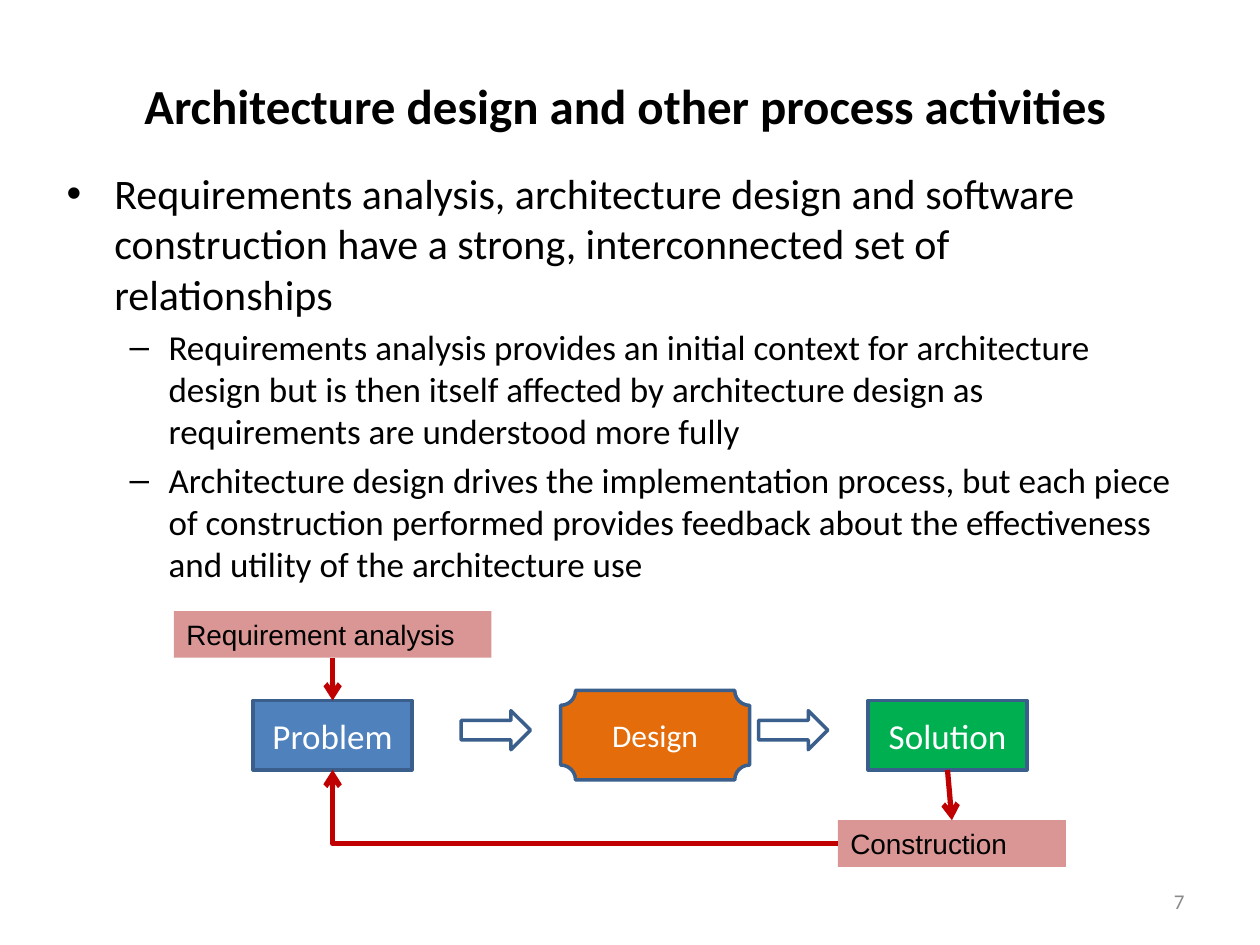
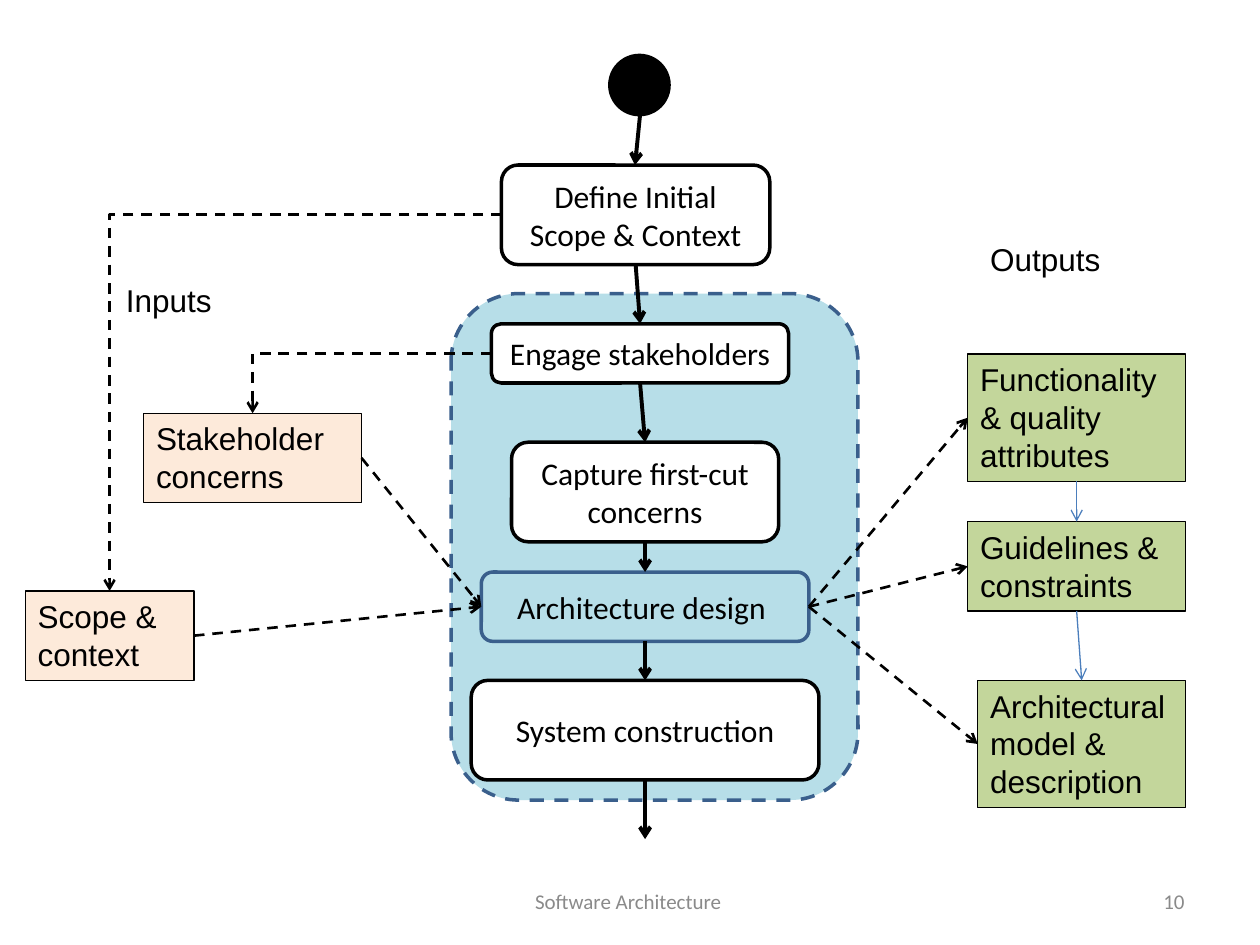
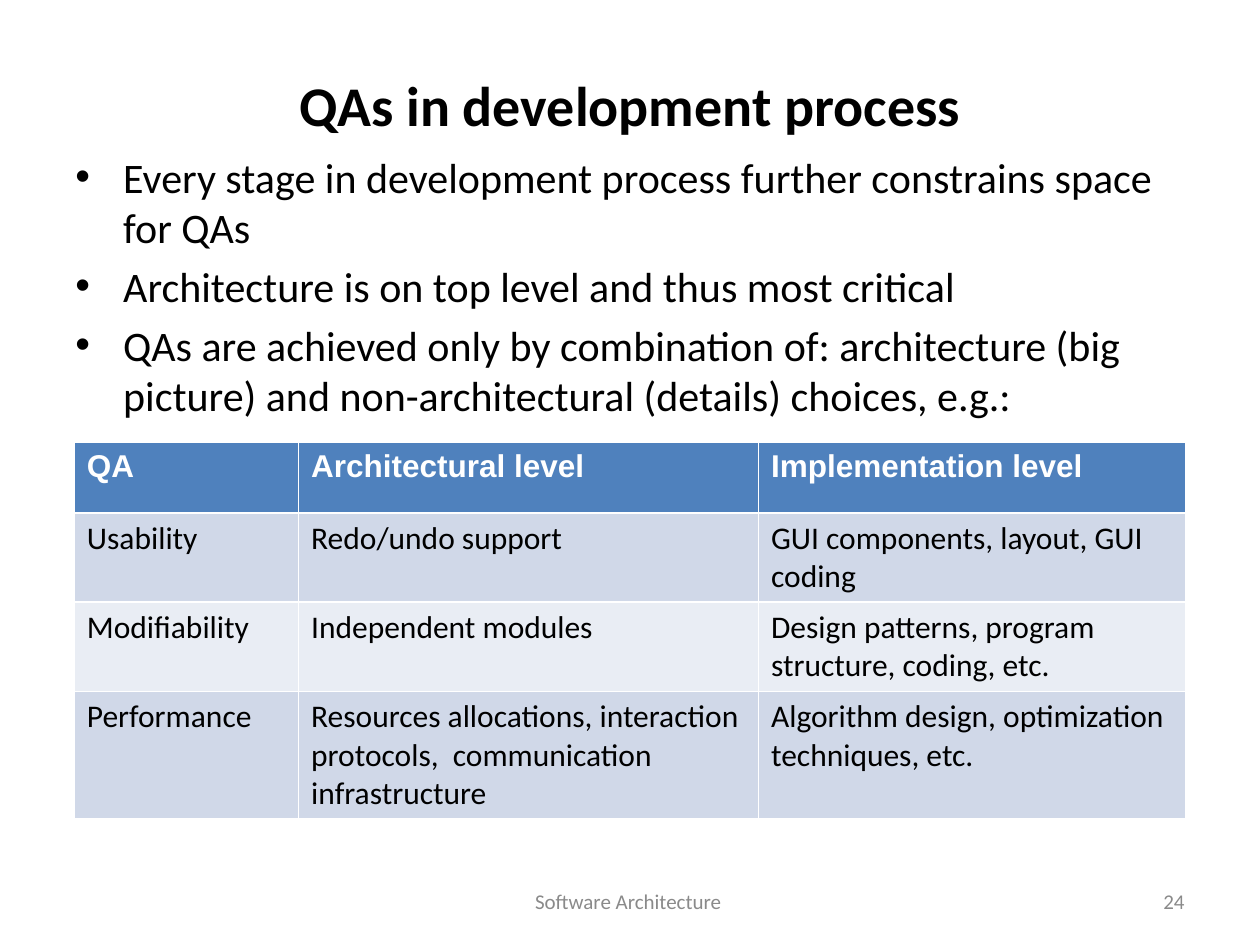
from lxml.etree import SubElement
from pptx import Presentation
from pptx.dml.color import RGBColor
from pptx.enum.dml import MSO_LINE
from pptx.enum.shapes import MSO_CONNECTOR, MSO_SHAPE
from pptx.enum.text import MSO_ANCHOR, PP_ALIGN
from pptx.oxml.ns import qn
from pptx.util import Inches, Pt

BLACK = RGBColor(0x00, 0x00, 0x00)
WHITE = RGBColor(0xFF, 0xFF, 0xFF)
GRAY = RGBColor(0x8A, 0x8A, 0x8A)
BLUE = RGBColor(0x4F, 0x81, 0xBD)
LINK_BLUE = RGBColor(0x4B, 0x7E, 0xBC)
OUTLINE_BLUE = RGBColor(0x3A, 0x5F, 0x8C)
LIGHT_BLUE = RGBColor(0xB7, 0xDE, 0xE8)
ORANGE = RGBColor(0xE4, 0x6C, 0x0A)
GREEN = RGBColor(0x00, 0xB0, 0x50)
RED = RGBColor(0xC0, 0x00, 0x00)
PINK = RGBColor(0xD9, 0x96, 0x94)
PEACH = RGBColor(0xFD, 0xEA, 0xDA)
LIGHT_GREEN = RGBColor(0xC3, 0xD6, 0x9B)
DARK_BAND = RGBColor(0xD0, 0xD8, 0xE8)
LIGHT_BAND = RGBColor(0xE9, 0xED, 0xF4)

HEADING_FONT = "Calibri"
LABEL_FONT = "Arial"
TOP, LEFT, BOTTOM, RIGHT = range(4)
BULLET_LEVELS = [("•", 24, 0.38, -0.38), ("–", 20, 0.81, -0.31)]


def format_para(para, size, color=BLACK, font=HEADING_FONT, bold=False, align=PP_ALIGN.LEFT):
    """Align a paragraph and style its runs."""
    para.alignment = align
    for span in para.runs:
        span.font.size = Pt(size)
        span.font.name = font
        span.font.bold = bold
        span.font.color.rgb = color


def add_text(page, area, text, size, anchor=MSO_ANCHOR.MIDDLE, **style):
    """Add a wrapped text box with one paragraph."""
    box = page.shapes.add_textbox(*map(Inches, area))
    frame = box.text_frame
    frame.word_wrap = True
    frame.vertical_anchor = anchor
    frame.text = text
    format_para(frame.paragraphs[0], size, **style)


def add_title(page, text, size, left=0.5, width=9):
    """Add the bold centred slide title."""
    add_text(page, (left, 0.36, width, 0.94), text, size, bold=True, align=PP_ALIGN.CENTER)


def add_footer(page, number, text=None):
    """Add the slide number and the optional footer text."""
    if text:
        add_text(page, (3.42, 6.95, 3.17, 0.4), text, 12, color=GRAY, align=PP_ALIGN.CENTER)
    add_text(page, (7.17, 6.95, 2.33, 0.4), str(number), 12, color=GRAY, align=PP_ALIGN.RIGHT)


def add_bullets(page, area, items):
    """Add a bullet list from pairs of level and text."""
    frame = page.shapes.add_textbox(*map(Inches, area)).text_frame
    frame.word_wrap = True
    for index, (level, text) in enumerate(items):
        para = frame.add_paragraph() if index else frame.paragraphs[0]
        mark, size, margin, indent = BULLET_LEVELS[level]
        para.text = text
        para.level = level
        para.space_before = Pt(size * 0.2)
        format_para(para, size)
        properties = para._p.get_or_add_pPr()
        properties.set("marL", str(Inches(margin)))
        properties.set("indent", str(Inches(indent)))
        SubElement(properties, qn("a:buFont")).set("typeface", LABEL_FONT)
        SubElement(properties, qn("a:buChar")).set("char", mark)


def add_box(page, kind, area, fill=None, line=OUTLINE_BLUE, weight=2, dashed=False):
    """Add a preset shape without a shadow."""
    box = page.shapes.add_shape(kind, *map(Inches, area))
    box.shadow.inherit = False
    if fill is None:
        box.fill.background()
    else:
        box.fill.solid()
        box.fill.fore_color.rgb = fill
    if line is None:
        box.line.fill.background()
    else:
        box.line.color.rgb = line
        box.line.width = Pt(weight)
    if dashed:
        box.line.dash_style = MSO_LINE.DASH
    return box


def add_step(page, kind, area, text, fill, size=18, color=BLACK, line=OUTLINE_BLUE):
    """Add a process step with centred text."""
    box = add_box(page, kind, area, fill, line)
    box.text_frame.text = text
    format_para(box.text_frame.paragraphs[0], size, color, align=PP_ALIGN.CENTER)
    return box


def add_label(page, area, text, fill, size=18, line=BLACK):
    """Add a filled label with text at the top left."""
    box = add_box(page, MSO_SHAPE.RECTANGLE, area, fill, line, 0.75)
    box.text_frame.text = text
    box.text_frame.vertical_anchor = MSO_ANCHOR.TOP
    format_para(box.text_frame.paragraphs[0], size, font=LABEL_FONT)
    return box


def style_arrow(arrow, color, weight, dashed=False):
    """Colour a connector, add its arrowhead and drop its shadow."""
    arrow.line.color.rgb = color
    arrow.line.width = Pt(weight)
    if dashed:
        arrow.line.dash_style = MSO_LINE.DASH
    SubElement(arrow.line._get_or_add_ln(), qn("a:tailEnd")).set("type", "arrow")
    SubElement(arrow._element.spPr, qn("a:effectLst"))


def add_arrow(page, points, color=BLACK, weight=2.25):
    """Add a free straight arrow between two points."""
    arrow = page.shapes.add_connector(MSO_CONNECTOR.STRAIGHT, *map(Inches, points))
    style_arrow(arrow, color, weight)


def link(page, start, start_side, end, end_side, color=BLACK, weight=2.25, dashed=False, bent=False):
    """Join the sides of two shapes with an arrow, with one corner if bent."""
    arrow = page.shapes.add_connector(MSO_CONNECTOR.STRAIGHT, 0, 0, 0, 0)
    arrow.begin_connect(start, start_side)
    arrow.end_connect(end, end_side)
    if bent:
        arrow._element.spPr.find(qn("a:prstGeom")).set("prst", "bentConnector2")
    style_arrow(arrow, color, weight, dashed)


def add_grid(page, area, widths, heights, rows):
    """Add a table with a header row and banded body rows."""
    table = page.shapes.add_table(len(rows), len(widths), *map(Inches, area)).table
    for column, width in zip(table.columns, widths):
        column.width = Inches(width)
    for index, (row, height, texts) in enumerate(zip(table.rows, heights, rows)):
        row.height = Inches(height)
        for cell, text in zip(row.cells, texts):
            cell.text = text
            cell.fill.solid()
            if index == 0:
                cell.fill.fore_color.rgb = BLUE
                format_para(cell.text_frame.paragraphs[0], 18, WHITE, LABEL_FONT, bold=True)
            else:
                cell.fill.fore_color.rgb = DARK_BAND if index % 2 else LIGHT_BAND
                format_para(cell.text_frame.paragraphs[0], 18)


def build_activities(page):
    """Show how design relates to the other process activities."""
    add_title(page, "Architecture design and other process activities ", 28, 0.2, 9.61)
    add_bullets(page, (0.43, 1.28, 9, 3.58), [
        (0, "Requirements analysis, architecture design and software construction have a strong, "
            "interconnected set of relationships"),
        (1, "Requirements analysis provides an initial context for architecture design but is then "
            "itself affected by architecture design as requirements are understood more fully"),
        (1, "Architecture design drives the implementation process, but each piece of construction "
            "performed provides feedback about the effectiveness and utility of the architecture use"),
    ])
    add_footer(page, 7)
    problem = add_step(page, MSO_SHAPE.RECTANGLE, (2.01, 5.56, 1.26, 0.55), "Problem", BLUE, 20, WHITE)
    solution = add_step(page, MSO_SHAPE.RECTANGLE, (6.89, 5.56, 1.26, 0.55), "Solution", GREEN, 20, WHITE)
    add_step(page, MSO_SHAPE.PLAQUE, (4.45, 5.48, 1.5, 0.71), "Design", ORANGE, 18, WHITE)
    for left in (3.66, 6.02):
        add_box(page, MSO_SHAPE.RIGHT_ARROW, (left, 5.64, 0.55, 0.31))
    analysis = add_label(page, (1.38, 4.85, 2.52, 0.37), "Requirement analysis", PINK, 16, None)
    construction = add_label(page, (6.65, 6.51, 1.81, 0.37), "Construction", PINK, 16, None)
    link(page, construction, LEFT, problem, BOTTOM, RED, 3, bent=True)
    link(page, analysis, BOTTOM, problem, TOP, RED, 3)
    link(page, solution, BOTTOM, construction, TOP, RED, 3)


def build_process(page):
    """Show the design process with its inputs and outputs."""
    rounded = MSO_SHAPE.ROUNDED_RECTANGLE
    add_box(page, rounded, (3.58, 2.33, 3.23, 4.02), LIGHT_BLUE, dashed=True)
    add_footer(page, 10, "Software Architecture ")
    add_box(page, MSO_SHAPE.OVAL, (4.84, 0.44, 0.47, 0.47), BLACK, BLACK)
    steps = [add_step(page, rounded, area, text, fill, line=line) for area, text, fill, line in [
        ((3.98, 1.31, 2.13, 0.79), "Define Initial Scope & Context", WHITE, BLACK),
        ((3.9, 2.57, 2.36, 0.47), "Engage stakeholders", WHITE, BLACK),
        ((4.06, 3.51, 2.12, 0.79), "Capture first-cut concerns", WHITE, BLACK),
        ((3.82, 4.54, 2.6, 0.55), "Architecture design ", LIGHT_BLUE, OUTLINE_BLUE),
        ((3.74, 5.4, 2.76, 0.79), "System construction", WHITE, BLACK),
    ]]
    define, engage, _, design, _ = steps
    scope = add_label(page, (0.2, 4.69, 1.34, 0.71), "Scope & context", PEACH)
    concerns = add_label(page, (1.14, 3.28, 1.73, 0.71), "Stakeholder concerns", PEACH)
    outputs = [add_label(page, area, text, LIGHT_GREEN) for area, text in [
        ((7.68, 2.81, 1.73, 1.01), "Functionality & quality attributes"),
        ((7.68, 4.14, 1.73, 0.71), "Guidelines & constraints"),
        ((7.76, 5.4, 1.65, 1.01), "Architectural model & description"),
    ]]
    for left, top, text in [(7.76, 1.86, "Outputs"), (0.9, 2.18, "Inputs")]:
        add_text(page, (left, top, 1.42, 0.4), text, 18, MSO_ANCHOR.TOP, font=LABEL_FONT)
    add_arrow(page, (5.08, 0.91, 5.04, 1.31))
    add_arrow(page, (5.12, 6.19, 5.12, 6.66))
    for upper, lower in zip(steps, steps[1:]):
        link(page, upper, BOTTOM, lower, TOP)
    for upper, lower in zip(outputs, outputs[1:]):
        link(page, upper, BOTTOM, lower, TOP, LINK_BLUE, 0.75)
    for step, source in [(define, scope), (engage, concerns)]:
        link(page, step, LEFT, source, TOP, weight=1.5, dashed=True, bent=True)
        link(page, source, RIGHT, design, LEFT, weight=1.5, dashed=True)
    for output in outputs:
        link(page, design, RIGHT, output, LEFT, weight=1.5, dashed=True)


def build_qualities(page):
    """Show how quality attributes are achieved at each level."""
    add_title(page, "QAs in development process", 32)
    add_bullets(page, (0.5, 1.15, 9, 2.44), [
        (0, "Every stage in development process further constrains space for QAs"),
        (0, "Architecture is on top level and thus most critical"),
        (0, "QAs are achieved only by combination of: architecture (big picture) and "
            "non-architectural (details) choices, e.g.:"),
    ])
    add_footer(page, 24, "Software Architecture ")
    add_grid(page, (0.59, 3.51, 8.82, 2.99), (1.78, 3.65, 3.39), (0.56, 0.71, 0.71, 1.01), [
        ("QA", "Architectural level", "Implementation level"),
        ("Usability", "Redo/undo support", "GUI components, layout, GUI coding"),
        ("Modifiability", "Independent modules", "Design patterns, program structure, coding, etc."),
        ("Performance", "Resources allocations, interaction protocols,  communication infrastructure",
         "Algorithm design, optimization techniques, etc."),
    ])


def main():
    """Build and save the deck."""
    deck = Presentation()
    deck.slide_width = Inches(10)
    deck.slide_height = Inches(7.5)
    for build in (build_activities, build_process, build_qualities):
        build(deck.slides.add_slide(deck.slide_layouts[6]))
    deck.save("out.pptx")


if __name__ == "__main__":
    main()
